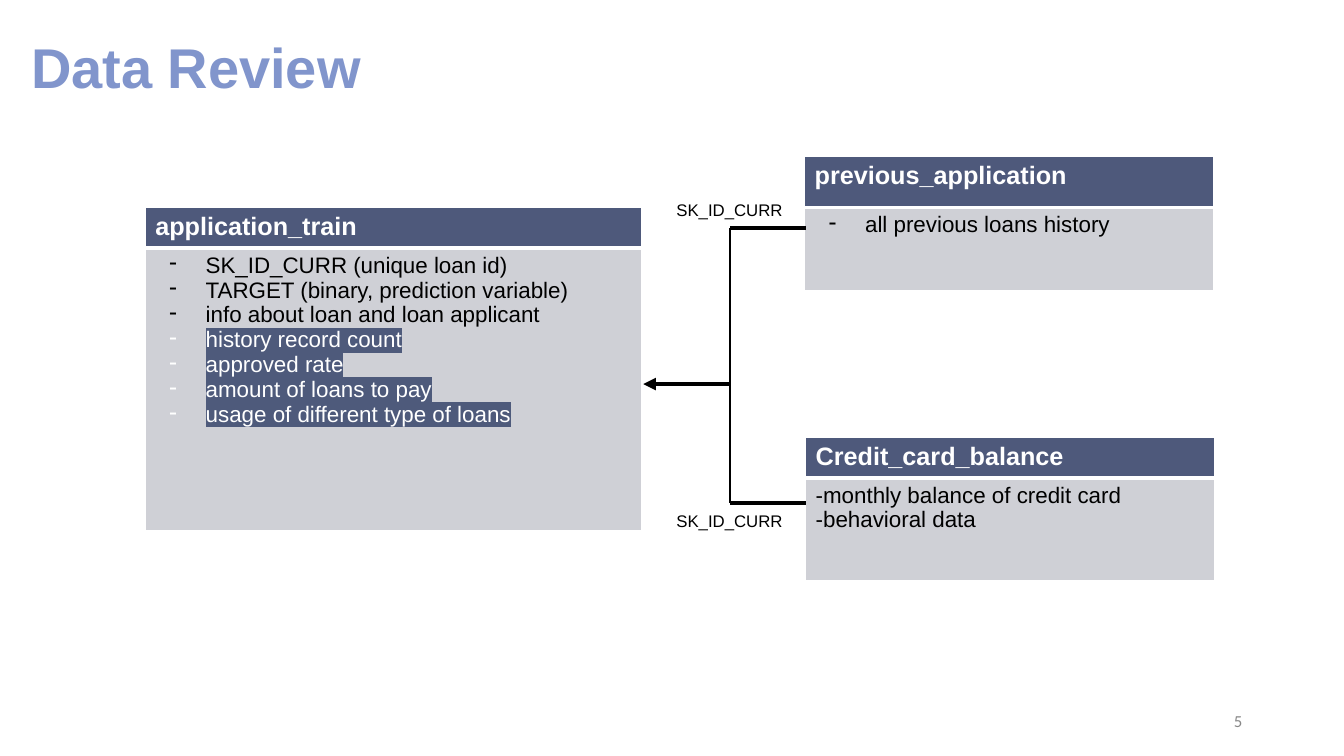
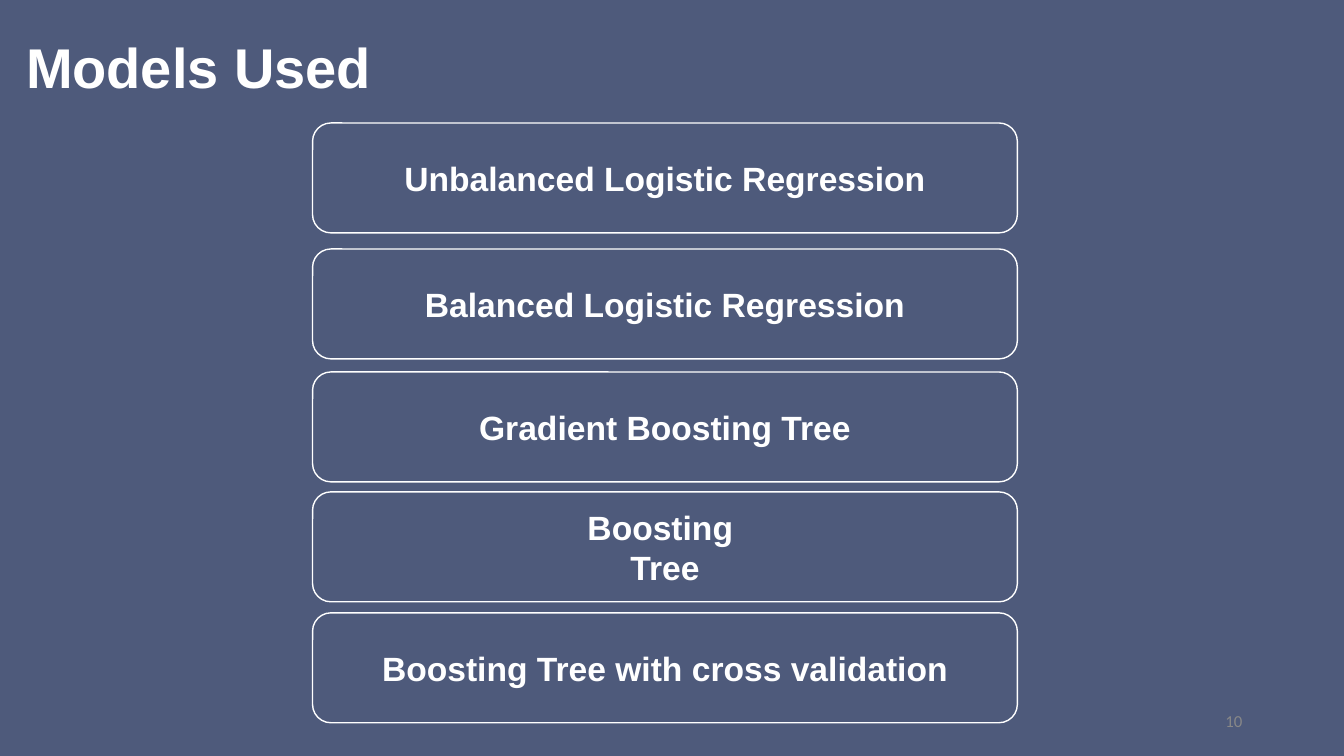
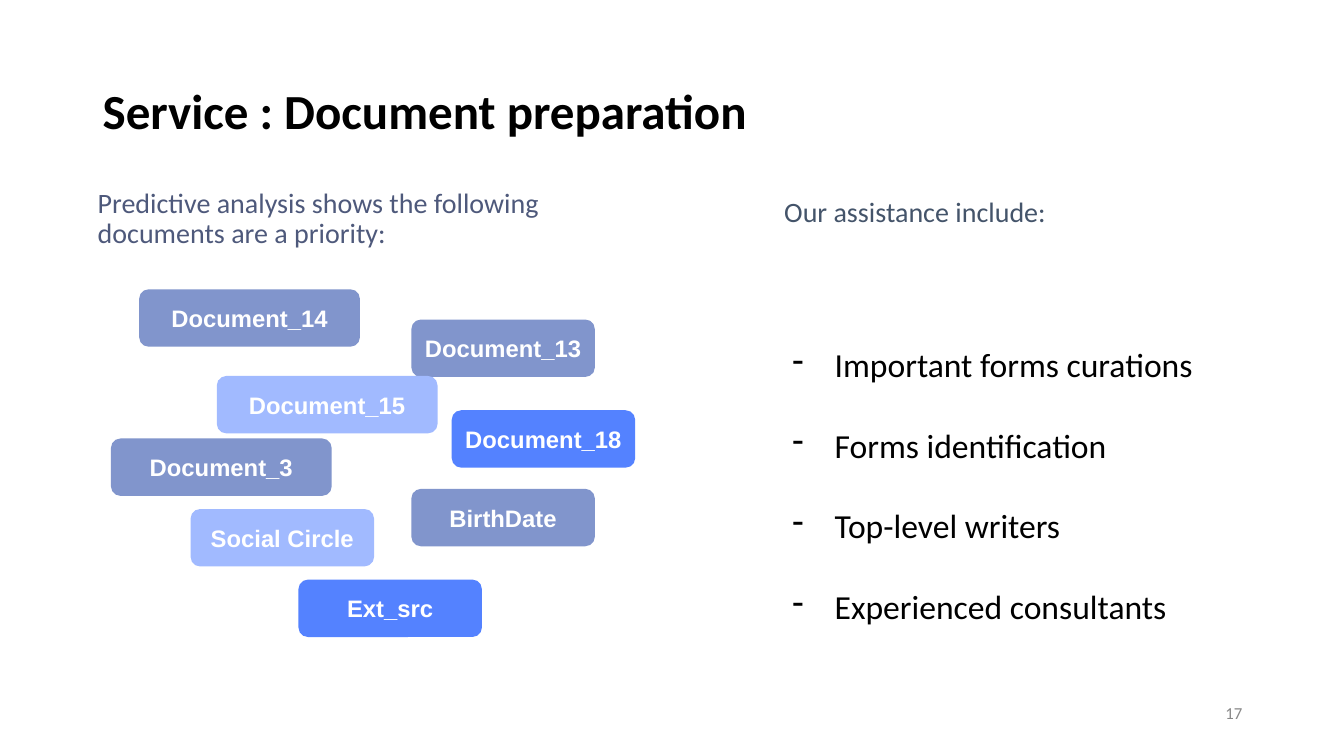
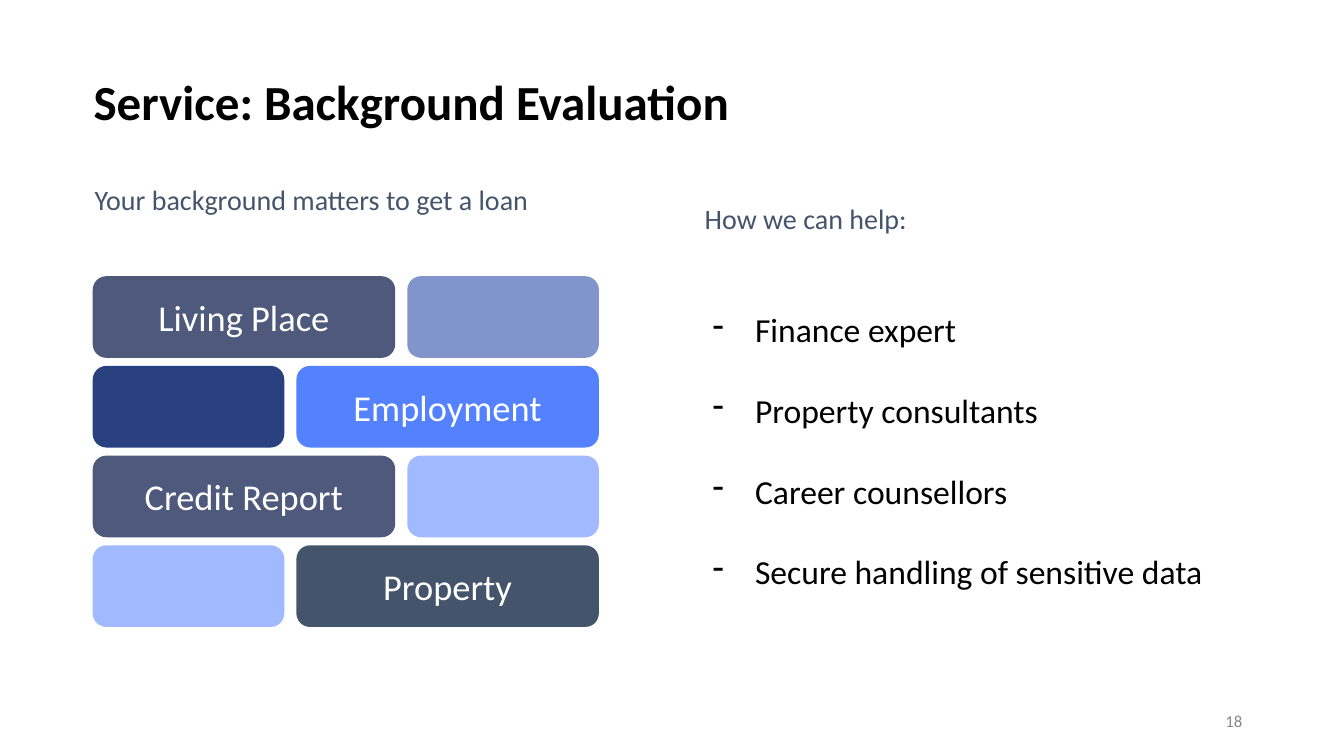
from lxml import etree
from pptx import Presentation
from pptx.dml.color import RGBColor
from pptx.enum import shapes, text
from pptx.oxml import ns
from pptx.util import Inches, Pt

COLORS = {
    "white": "FFFFFF", "black": "000000", "gray": "888888", "cell": "CFD0D6",
    "slate": "4E597B", "backdrop": "4E5A7B", "steel": "44546A", "navy": "2A4180",
    "periwinkle": "8195CC", "sky": "A1BAFF", "blue": "5482FF",
}
HEADING_FONT, BODY_FONT = "Arial", "Calibri"


def rgb(color):
    return RGBColor.from_string(COLORS[color])


def add_xml(parent, tag, **attributes):
    return etree.SubElement(parent, ns.qn(tag), attributes)


def add_color(parent, tag, color):
    add_xml(add_xml(parent, tag), "a:srgbClr", val=COLORS[color])


def inches(*lengths):
    return [Inches(length) for length in lengths]


def format_paragraph(para, size, color, font, bold=False):
    for span in para.runs:
        span.font.size = Pt(size)
        span.font.name = font
        span.font.bold = bold
        span.font.color.rgb = rgb(color)


def write(frame, lines, size, color, font=BODY_FONT, bold=False, align=None, spacing=None):
    """Add lines as paragraphs, after any text the frame already holds."""
    added = []
    for line in lines:
        para = frame.add_paragraph() if frame.text else frame.paragraphs[0]
        para.text = line
        para.alignment = align
        para.line_spacing = spacing
        format_paragraph(para, size, color, font, bold)
        added.append(para)
    return added


def add_dash(para, color, hang):
    properties = para._p.get_or_add_pPr()
    properties.set("marL", str(Inches(0.5)))
    properties.set("indent", str(-Inches(hang)))
    add_color(properties, "a:buClr", color)
    add_xml(properties, "a:buChar", char="-")


def highlight(para, color):
    for span in para.runs:
        fill = span._r.rPr.find(ns.qn("a:solidFill"))
        mark = etree.Element(ns.qn("a:highlight"))
        add_xml(mark, "a:srgbClr", val=COLORS[color])
        fill.addnext(mark)


def add_text(slide, box, lines, size, color, anchor=text.MSO_ANCHOR.TOP, **style):
    frame = slide.shapes.add_textbox(*inches(*box)).text_frame
    frame.word_wrap = True
    frame.vertical_anchor = anchor
    write(frame, lines, size, color, **style)
    return frame


def add_slide(deck, number, background="white", number_top=6.95):
    slide = deck.slides.add_slide(deck.slide_layouts[6])
    slide.background.fill.solid()
    slide.background.fill.fore_color.rgb = rgb(background)
    add_text(slide, (9.42, number_top, 3, 0.4), [str(number)], 12, "gray",
             anchor=text.MSO_ANCHOR.MIDDLE, align=text.PP_ALIGN.RIGHT)
    return slide


def add_heading(slide, left, title, color):
    add_text(slide, (left, 0.27, 12.76, 0.77), [title], 40, color,
             font=HEADING_FONT, bold=True)


def add_service_title(slide, box, title):
    add_text(slide, box, [title], 35, "black", anchor=text.MSO_ANCHOR.MIDDLE,
             bold=True, spacing=0.9)


def add_tile(slide, box, lines, size, fill=None, outline=None, font=BODY_FONT, bold=False):
    tile = slide.shapes.add_shape(shapes.MSO_SHAPE.ROUNDED_RECTANGLE, *inches(*box))
    tile.shadow.inherit = False
    if fill:
        tile.fill.solid()
        tile.fill.fore_color.rgb = rgb(fill)
    else:
        tile.fill.background()
    if outline:
        tile.line.color.rgb = rgb(outline)
        tile.line.width = Pt(1)
    else:
        tile.line.fill.background()
    frame = tile.text_frame
    frame.word_wrap = True
    frame.vertical_anchor = text.MSO_ANCHOR.MIDDLE
    write(frame, lines, size, "white", font, bold, text.PP_ALIGN.CENTER)


def add_line(slide, start, end, width=3, arrow=False):
    line = slide.shapes.add_connector(shapes.MSO_CONNECTOR.STRAIGHT,
                                      *inches(*start, *end))
    line.line.color.rgb = rgb("black")
    line.line.width = Pt(width)
    if arrow:
        add_xml(line.line._get_or_add_ln(), "a:headEnd", type="triangle")
    add_xml(line._element.spPr, "a:effectLst")


def style_cell(cell, fill, top, bottom):
    """Fill a cell and give it white borders, top and bottom in points."""
    cell.fill.solid()
    cell.fill.fore_color.rgb = rgb(fill)
    properties = cell._tc.get_or_add_tcPr()
    widths = {"a:lnL": 1, "a:lnR": 1, "a:lnT": top, "a:lnB": bottom}
    for position, (side, width) in enumerate(widths.items()):
        border = etree.Element(ns.qn(side), {"w": str(Pt(width))})
        add_color(border, "a:solidFill", "white")
        properties.insert(position, border)


def add_entity(slide, left, top, width, heights, name, fields, dashed=True, derived=()):
    """Add a two-row table: its name above its fields, derived ones highlighted."""
    frame = slide.shapes.add_table(2, 1, *inches(left, top, width, sum(heights)))
    table = frame.table
    table.first_row = table.horz_banding = False
    for row, height in zip(table.rows, heights):
        row.height = Inches(height)
    header, body = table.cell(0, 0), table.cell(1, 0)
    style_cell(header, "slate", 1, 3)
    style_cell(body, "cell", 3, 1)
    write(header.text_frame, [name], 18, "white", HEADING_FONT, True)
    for lines, color in ((fields, "black"), (derived, "white")):
        for para in write(body.text_frame, lines, 16, color, HEADING_FONT):
            if dashed:
                add_dash(para, color, 0.36)
            if lines is derived:
                highlight(para, "backdrop")


def add_offer(slide, box, heading, gap, offers):
    frame = add_text(slide, box, [heading], 20, "steel")
    frame.margin_top = frame.margin_bottom = Inches(0.1)
    items = write(frame, offers, 24, "black", spacing=2.0)
    items[0].space_before = Pt(gap)
    for para in items:
        add_dash(para, "black", 0.42)


def add_key_bracket(slide, left, top, bottom):
    """Join both right-hand tables to the arrow that points at the main table."""
    middle, right = 3.81, left + 0.75
    add_line(slide, (left - 0.86, middle), (left, middle), arrow=True)
    add_line(slide, (left, top), (left, bottom), width=1.5)
    for level, label_top in ((top, top - 0.33), (bottom, bottom + 0.03)):
        add_line(slide, (left, level), (right, level))
        add_text(slide, (left - 0.63, label_top, 1.6, 0.3), ["SK_ID_CURR"], 12, "black",
                 font=HEADING_FONT)


def build_data_review(deck):
    slide = add_slide(deck, 5)
    add_heading(slide, 0.21, "Data Review", "periwinkle")
    add_entity(slide, 1.44, 2.06, 4.92, (0.39, 2.8), "application_train",
               ["SK_ID_CURR (unique loan id)", "TARGET (binary, prediction variable)",
                "info about loan and loan applicant"],
               derived=["history record count", "approved rate", "amount of loans to pay",
                        "usage of different type of loans"])
    add_entity(slide, 7.98, 1.55, 4.06, (0.51, 0.82), "previous_application",
               ["all previous loans history"])
    add_entity(slide, 7.99, 4.34, 4.06, (0.39, 1.02), "Credit_card_balance",
               ["-monthly balance of credit card", "-behavioral data"], dashed=False)
    add_key_bracket(slide, 7.24, 2.26, 4.99)


def build_models(deck):
    slide = add_slide(deck, 10, "backdrop")
    add_heading(slide, 0.16, "Models Used", "white")
    models = [
        (1.22, ["Unbalanced Logistic Regression"]),
        (2.47, ["Balanced Logistic Regression"]),
        (3.69, ["Gradient Boosting Tree"]),
        (4.88, ["Boosting ", "Tree"]),
        (6.08, ["Boosting Tree with cross validation"]),
    ]
    for top, lines in models:
        add_tile(slide, (3.1, top, 6.99, 1.09), lines, 24, outline="white",
                 font=HEADING_FONT, bold=True)


def build_documents(deck):
    slide = add_slide(deck, 17, number_top=6.87)
    add_service_title(slide, (0.92, 0.4, 11.5, 1.45), "Service : Document preparation")
    add_text(slide, (0.87, 1.83, 5.75, 0.87),
             ["Predictive analysis shows the following documents are a priority:"],
             20, "slate", spacing=0.9)
    add_offer(slide, (7.68, 1.83, 4.64, 4.41), "Our assistance include:", 54,
              ["Important forms curations", "Forms identification",
               "Top-level writers", "Experienced consultants"])
    wide, narrow = 2.19, 1.82
    documents = [
        ("Document_14", 1.38, 2.87, wide, "periwinkle"),
        ("Document_13", 4.08, 3.17, narrow, "periwinkle"),
        ("Social Circle", 1.89, 5.05, narrow, "sky"),
        ("Document_18", 4.48, 4.07, narrow, "blue"),
        ("Document_15", 2.15, 3.73, wide, "sky"),
        ("Document_3", 1.1, 4.35, wide, "periwinkle"),
        ("BirthDate", 4.08, 4.85, narrow, "periwinkle"),
        ("Ext_src", 2.96, 5.75, narrow, "blue"),
    ]
    for name, left, top, width, fill in documents:
        add_tile(slide, (left, top, width, 0.57), [name], 17, fill,
                 font=HEADING_FONT, bold=True)


def add_brick_wall(slide, left, top, rows):
    """Stack rows of a long named brick and a short plain one, swapping sides."""
    long, short, gap, pitch = 3, 1.9, 0.12, 0.89
    for index, (label, long_fill, short_fill) in enumerate(rows):
        bricks = [(long, [label], long_fill), (short, [], short_fill)]
        if index % 2:
            bricks.reverse()
        brick_left = left
        for width, lines, fill in bricks:
            add_tile(slide, (brick_left, top + index * pitch, width, 0.81), lines, 26, fill)
            brick_left += width + gap


def build_background(deck):
    slide = add_slide(deck, 18)
    add_service_title(slide, (0.83, 0.4, 11.5, 1.27), "Service: Background Evaluation")
    add_text(slide, (0.84, 1.8, 5.75, 0.81), ["Your background matters to get a loan"],
             20, "steel", spacing=0.9)
    add_offer(slide, (6.89, 1.9, 5.39, 4.41), "How we can help:", 24,
              ["Finance expert", "Property consultants", "Career counsellors",
               "Secure handling of sensitive data"])
    add_brick_wall(slide, 0.92, 2.74, [
        ("Living Place", "slate", "periwinkle"),
        ("Employment", "blue", "navy"),
        ("Credit Report", "slate", "sky"),
        ("Property", "steel", "sky"),
    ])


def main():
    deck = Presentation()
    deck.slide_width, deck.slide_height = inches(13.33, 7.5)
    for build in (build_data_review, build_models, build_documents, build_background):
        build(deck)
    deck.save("out.pptx")


if __name__ == "__main__":
    main()
